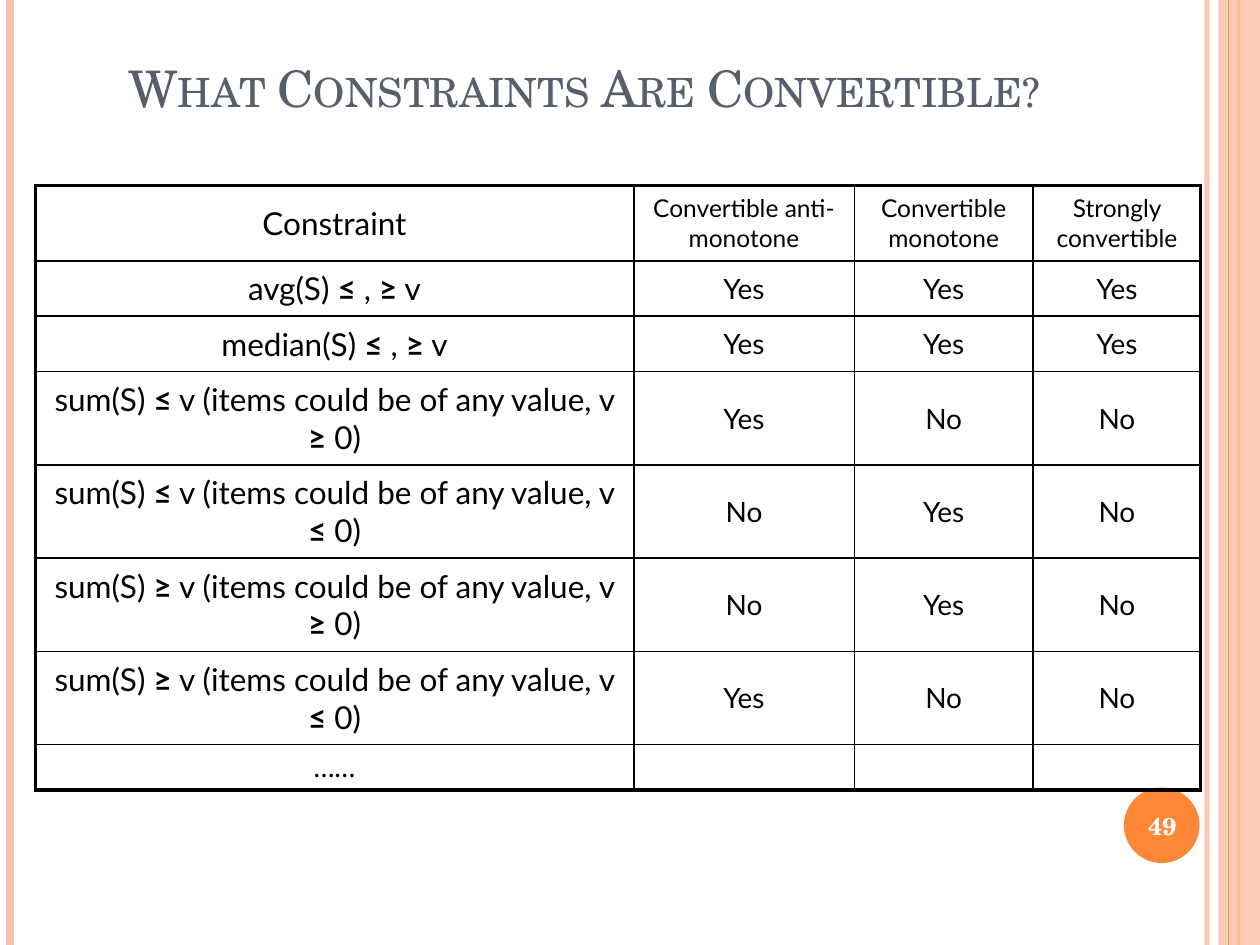
from itertools import groupby
from lxml import etree
from pptx import Presentation
from pptx.dml.color import RGBColor
from pptx.enum.shapes import MSO_CONNECTOR as Link, MSO_SHAPE as Shape
from pptx.enum.text import MSO_ANCHOR as Anchor, PP_ALIGN as Align
from pptx.oxml.ns import qn
from pptx.util import Inches, Pt

WIDE, HIGH = 10, 7.5
SERIF, SANS = "TeX Gyre Schola", "Lato"
PEACH, ORANGE, SLATE = "FEC3AE", "FE8637", "575F6D"
BLACK, WHITE = "000000", "FFFFFF"
THIN, THICK = 1, 2.25

STRIPES = [  # x, colour, width in points, opacity in percent
    (9.58, PEACH, 3, 93),
    (0.08, PEACH, 4.5, 100),
    (9.83, ORANGE, 1.5, 100),
]
COLS = [4.75, 1.75, 1.42, 1.33]
ROWS = [0.6] + [0.44] * 2 + [0.74] * 4 + [0.36]
CELLS = [
    ["Constraint", "Convertible anti-monotone", "Convertible monotone",
     "Strongly convertible"],
    ["avg(S) ≤ , ≥ v", "Yes", "Yes", "Yes"],
    ["median(S) ≤ , ≥ v", "Yes", "Yes", "Yes"],
    ["sum(S) ≤ v (items could be of any value, v ≥ 0)", "Yes", "No", "No"],
    ["sum(S) ≤ v (items could be of any value, v ≤ 0)", "No", "Yes", "No"],
    ["sum(S) ≥ v (items could be of any value, v ≥ 0)", "No", "Yes", "No"],
    ["sum(S) ≥ v (items could be of any value, v ≤ 0)", "Yes", "No", "No"],
    ["……", "", "", ""],
]


def paint(form, code):
    form.solid()
    form.fore_color.rgb = RGBColor.from_string(code)


def fade(node, share):
    """Set the opacity, in percent, of the colour inside node."""
    tint = next(node.iter(qn("a:srgbClr")))
    etree.SubElement(tint, qn("a:alpha"), val=str(share * 1000))


def add_line(slide, x, code, width, share=100):
    line = slide.shapes.add_connector(
        Link.STRAIGHT, Inches(x), 0, Inches(x), Inches(HIGH))
    paint(line.line.fill, code)
    line.line.width = Pt(width)
    props = line.element.spPr
    if share < 100:
        fade(props, share)
    etree.SubElement(props, qn("a:effectLst"))


def add_form(slide, kind, box, code, share=100):
    form = slide.shapes.add_shape(kind, *map(Inches, box))
    form.shadow.inherit = False
    paint(form.fill, code)
    form.line.fill.background()
    if share < 100:
        fade(form.element.spPr, share)


def add_run(para, text, size, face, code, bold=False):
    run = para.add_run()
    run.text = text
    font = run.font
    font.size, font.name, font.bold = Pt(size), face, bold
    paint(font.fill, code)
    return run


def add_text(slide, box, text, size, code, anchor, align, bold=False):
    frame = slide.shapes.add_textbox(*map(Inches, box)).text_frame
    frame.word_wrap = True
    frame.vertical_anchor = anchor
    para = frame.paragraphs[0]
    para.alignment = align
    return add_run(para, text, size, SERIF, code, bold)


def add_edges(cell, row, col):
    """Draw thick borders on the table's rim and thin ones inside."""
    rim = {"L": col == 0, "R": col == len(COLS) - 1,
           "T": row == 0, "B": row == len(ROWS) - 1}
    props = cell._tc.get_or_add_tcPr()
    for at, (side, outer) in enumerate(rim.items()):
        edge = etree.Element(qn(f"a:ln{side}"),
                             w=str(Pt(THICK if outer else THIN)))
        fill = etree.SubElement(edge, qn("a:solidFill"))
        etree.SubElement(fill, qn("a:srgbClr"), val=BLACK)
        props.insert(at, edge)


def font_size(row, col):
    if row == len(ROWS) - 1:
        return 16
    if col == 0:
        return 18
    return 14 if row == 0 else 16


def fill_cell(cell, row, col):
    cell.fill.background()
    add_edges(cell, row, col)
    cell.vertical_anchor = Anchor.MIDDLE
    if row == len(ROWS) - 1:
        cell.margin_top = cell.margin_bottom = Inches(0.02)
    para = cell.text_frame.paragraphs[0]
    para.alignment = Align.CENTER
    size = font_size(row, col)
    para.space_before = Pt(size * 0.2)
    for bold, part in groupby(CELLS[row][col], lambda sign: sign in "≤≥"):
        add_run(para, "".join(part), size, SANS, BLACK, bold)


def add_grid(slide):
    box = map(Inches, (0.28, 1.47, sum(COLS), sum(ROWS)))
    table = slide.shapes.add_table(len(ROWS), len(COLS), *box).table
    table.first_row = table.horz_banding = False
    for col, width in zip(table.columns, COLS):
        col.width = Inches(width)
    for row, height in zip(table.rows, ROWS):
        row.height = Inches(height)
    for row in range(len(ROWS)):
        for col in range(len(COLS)):
            fill_cell(table.cell(row, col), row, col)


def main():
    deck = Presentation()
    deck.slide_width, deck.slide_height = Inches(WIDE), Inches(HIGH)
    slide = deck.slides.add_slide(deck.slide_layouts[6])
    paint(slide.background.fill, WHITE)

    for stripe in STRIPES:
        add_line(slide, *stripe)
    add_form(slide, Shape.RECTANGLE, (9.67, 0, 0.33, HIGH), PEACH, 87)
    add_line(slide, 9.75, ORANGE, 0.75)
    add_form(slide, Shape.OVAL, (8.92, 6.25, 0.6, 0.6), ORANGE)

    title = add_text(slide, (0.92, 0.33, 8.02, 0.65),
                     "What Constraints Are Convertible?", 28.8, SLATE,
                     Anchor.BOTTOM, Align.LEFT)
    title.font._element.set("cap", "small")
    add_grid(slide)
    add_text(slide, (8.89, 6.27, 0.67, 0.57), "49", 14, WHITE,
             Anchor.MIDDLE, Align.CENTER, True)
    deck.save("out.pptx")


if __name__ == "__main__":
    main()
